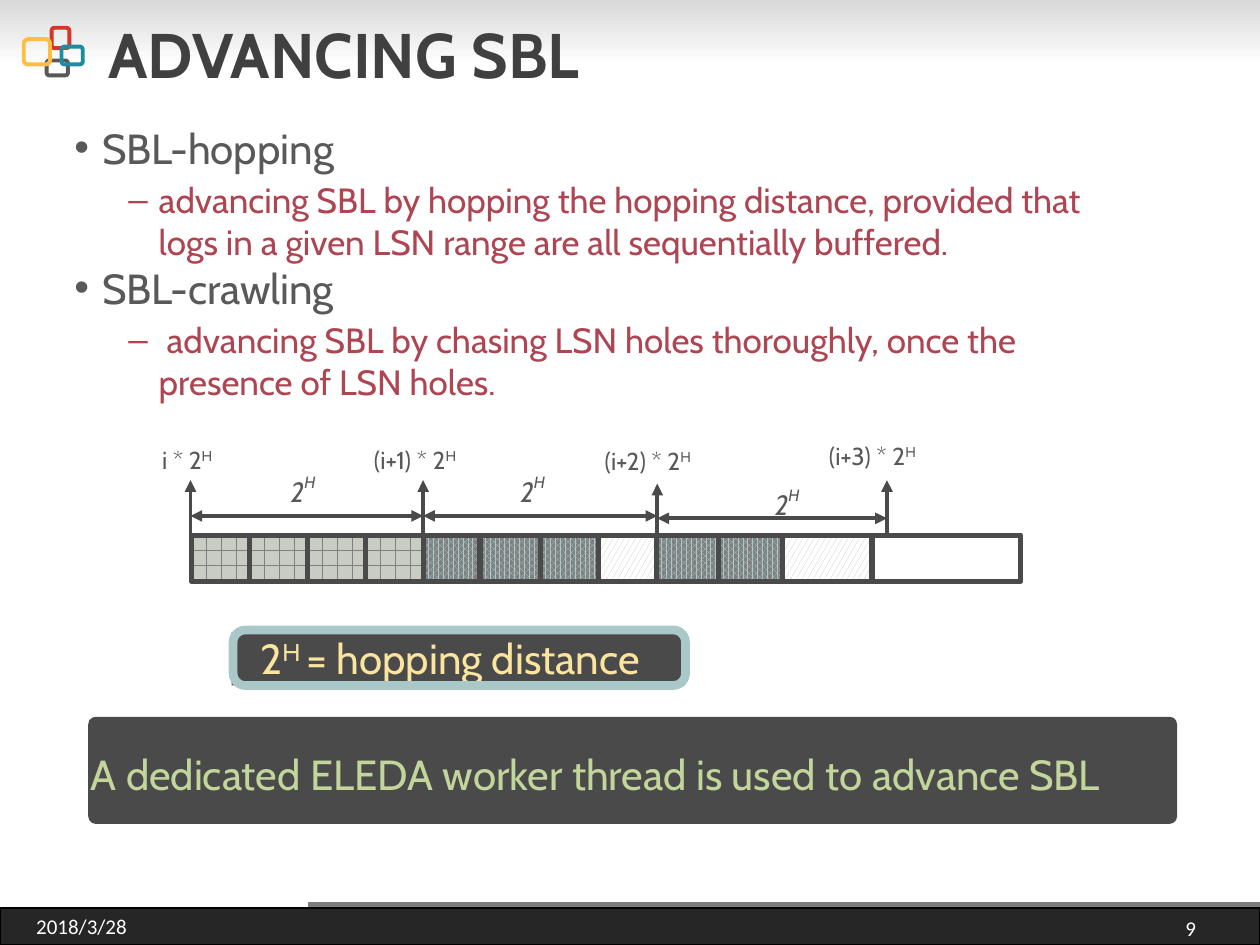
from lxml import etree
from pptx import Presentation
from pptx.dml.color import RGBColor
from pptx.enum.dml import MSO_PATTERN
from pptx.enum.shapes import MSO_CONNECTOR, MSO_SHAPE
from pptx.enum.text import MSO_ANCHOR, MSO_AUTO_SIZE, PP_ALIGN
from pptx.oxml.ns import qn
from pptx.util import Cm, Pt

RECTANGLE, ROUNDED = MSO_SHAPE.RECTANGLE, MSO_SHAPE.ROUNDED_RECTANGLE
STRAIGHT = MSO_CONNECTOR.STRAIGHT
LEFT, RIGHT = PP_ALIGN.LEFT, PP_ALIGN.RIGHT
TOP, MIDDLE = MSO_ANCHOR.TOP, MSO_ANCHOR.MIDDLE
FIXED, GROW = MSO_AUTO_SIZE.NONE, MSO_AUTO_SIZE.SHAPE_TO_FIT_TEXT

THEME = {
    "font": "Cabin", "footer_font": "Calibri",
    "title": "404040", "text": "595959", "detail": "AD4552",
    "ink": "4A4A4A", "frame": "A9C8C7", "formula": "FBE59E", "banner": "C2D69C",
    "footer": "262626", "footer_edge": "000000", "footer_rule": "7C7C7C", "white": "FFFFFF",
    "shade": "D9D9D9",
    "title_size": 36, "body_size": 24, "detail_size": 20,
    "span_size": 16, "label_size": 14, "footer_size": 12,
}

TITLE = "ADVANCING SBL"
BULLETS = [
    (0, "SBL-hopping"),
    (1, "advancing SBL by hopping the hopping distance, provided that "
        "logs in a given LSN range are all sequentially buffered."),
    (0, "SBL-crawling"),
    (1, " advancing SBL by chasing LSN holes thoroughly, once the presence of LSN holes."),
]
LEVELS = [
    ("•", 0.61, -0.56, 0, THEME["body_size"], THEME["text"]),
    ("–", 1.75, -0.61, 3.2, THEME["detail_size"], THEME["detail"]),
]
PATTERNS = {
    "brick": (MSO_PATTERN.HORIZONTAL_BRICK, "808080", "C8CCC3"),
    "dense": (MSO_PATTERN.PERCENT_75, "A9C8C7", "808080"),
    "hole": (MSO_PATTERN.LARGE_CONFETTI, "C6C1B9", "FFFFFF"),
}
CELLS = [("brick", 1.17)] * 4 + [
    ("dense", 1.14), ("dense", 1.22), ("dense", 1.16), ("hole", 1.18),
    ("dense", 1.24), ("dense", 1.29), ("hole", 1.81), ("empty", 3.0),
]
BUFFER_LEFT, BUFFER_TOP, BUFFER_HEIGHT = 3.86, 10.79, 0.93
TICK_HEIGHT = 1.1
TICKS = [
    (3.84, 10.78, "i * 2", (3.02, 8.84, 1.65, 0.86)),
    (8.53, 10.78, "(i+1) * 2", (7.29, 8.84, 2.54, 0.86)),
    (13.25, 10.85, "(i+2) * 2", (11.94, 8.86, 2.54, 0.86)),
    (17.88, 10.78, "(i+3) * 2", (16.46, 8.76, 2.54, 0.86)),
]
SPANS = [(10.4, 5.61, 9.4), (10.4, 10.24, 9.4), (10.45, 15.37, 9.65)]
EMBLEM = [
    ("D4362A", (1.04, 0.56, 0.36, 0.41)),
    ("595959", (0.94, 1.22, 0.43, 0.3)),
    ("FFBE3F", (0.48, 0.79, 0.53, 0.51)),
    ("1C8CA1", (1.24, 0.94, 0.43, 0.36)),
]
FOOTERS = [
    ("2018/3/28", LEFT, (0.48, 18.36, 2.57, 0.61)),
    ("9", RIGHT, (21.69, 18.39, 2.67, 0.64)),
]


def color(name):
    return RGBColor.from_string(name)


def lengths(area):
    return [Cm(value) for value in area]


def style(para, size, ink, font=THEME["font"], bold=None, italic=None):
    para.font.name, para.font.size = font, Pt(size)
    para.font.bold, para.font.italic = bold, italic
    para.font.color.rgb = color(ink)


def add_box(page, area, fill=None, line=None, width=1, kind=RECTANGLE, corner=None):
    box = page.shapes.add_shape(kind, *lengths(area))
    box.shadow.inherit = False
    if corner is not None:
        box.adjustments[0] = corner
    if fill in PATTERNS:
        box.fill.patterned()
        box.fill.pattern, front, back = PATTERNS[fill]
        box.fill.fore_color.rgb, box.fill.back_color.rgb = color(front), color(back)
    elif fill:
        box.fill.solid()
        box.fill.fore_color.rgb = color(fill)
    else:
        box.fill.background()
    if line:
        box.line.color.rgb, box.line.width = color(line), Pt(width)
    else:
        box.line.fill.background()
    return box


def add_line(page, start, end, ink=THEME["ink"], width=2.25, heads=()):
    line = page.shapes.add_connector(STRAIGHT, *lengths(start + end))
    line.line.color.rgb, line.line.width = color(ink), Pt(width)
    properties = line._element.spPr
    for head in heads:
        etree.SubElement(properties.find(qn("a:ln")), qn("a:" + head), type="triangle")
    etree.SubElement(properties, qn("a:effectLst"))


def write(box, spans, size, ink, anchor=TOP, wrap=True, margin=None, align=LEFT, **font):
    frame = box.text_frame
    frame.word_wrap, frame.auto_size, frame.vertical_anchor = wrap, GROW, anchor
    if margin is not None:
        frame.margin_left = frame.margin_right = Cm(margin)
        frame.margin_top = frame.margin_bottom = Cm(margin)
    para = frame.paragraphs[0]
    para.alignment = align
    style(para, size, ink, **font)
    for text, raised in spans:
        span = para.add_run()
        span.text = text
        if raised:
            span._r.get_or_add_rPr().set("baseline", str(raised * 1000))
    return para


def add_text(page, area, spans, size, ink, **options):
    return write(page.shapes.add_textbox(*lengths(area)), spans, size, ink, **options)


def place(shape, area):
    shape.left, shape.top, shape.width, shape.height = lengths(area)
    shape.text_frame.auto_size = FIXED
    return shape.text_frame


def add_template(page):
    fill = page.background.fill
    fill.gradient()
    fill.gradient_angle = 270
    for stop, ink, position in zip(fill.gradient_stops, (THEME["shade"], THEME["white"]), (0, 0.07)):
        stop.color.rgb, stop.position = color(ink), position
    add_box(page, (0, 18.31, 25.4, 0.74), THEME["footer"], THEME["footer_edge"])
    add_line(page, (6.2, 18.24), (25.4, 18.24), THEME["footer_rule"], 3)
    for ink, area in EMBLEM:
        add_box(page, area, line=ink, width=2.25, kind=ROUNDED)
    for text, align, area in FOOTERS:
        add_text(page, area, [(text, 0)], THEME["footer_size"], THEME["white"],
                 anchor=MIDDLE, align=align, font=THEME["footer_font"])


def add_content(page):
    frame = place(page.shapes.title, (1.93, 0.2, 21.62, 1.93))
    frame.text, frame.vertical_anchor = TITLE, MIDDLE
    para = frame.paragraphs[0]
    para.alignment, para.line_spacing = LEFT, 0.9
    style(para, THEME["title_size"], THEME["title"], bold=True)

    frame = place(page.placeholders[1], (1.45, 2.46, 21.59, 5.69))
    frame.margin_left = frame.margin_right = frame.margin_top = frame.margin_bottom = 0
    frame.text = "\n".join(text for _, text in BULLETS)
    for para, (level, _) in zip(frame.paragraphs, BULLETS):
        mark, margin, indent, before, size, ink = LEVELS[level]
        para.level, para.space_before = level, Pt(before)
        style(para, size, ink)
        properties = para._p.get_or_add_pPr()
        properties.set("marL", str(Cm(margin)))
        properties.set("indent", str(Cm(indent)))
        bullet = etree.Element(qn("a:buChar"), char=mark)
        properties.find(qn("a:defRPr")).addprevious(bullet)


def add_diagram(page):
    left = BUFFER_LEFT
    for kind, width in CELLS:
        fill = kind if kind in PATTERNS else None
        add_box(page, (left, BUFFER_TOP, width, BUFFER_HEIGHT), fill, THEME["ink"], 3)
        left += width
    for x, bottom, text, area in TICKS:
        add_line(page, (x, bottom), (x, bottom - TICK_HEIGHT), heads=("tailEnd",))
        add_text(page, area, [(text, 0), ("H", 30)], THEME["label_size"], THEME["text"], wrap=False)
    for (start, *_), (end, *_), (y, x, top) in zip(TICKS, TICKS[1:], SPANS):
        add_line(page, (start, y), (end, y), heads=("headEnd", "tailEnd"))
        add_text(page, (x, top, 1.09, 0.94), [("2", 0), ("H", 50)],
                 THEME["span_size"], THEME["text"], wrap=False, italic=True)


def add_notes_boxes(page):
    box = add_box(page, (4.67, 12.75, 9.14, 1.07), THEME["ink"])
    para = write(box, [("2", 0), ("H ", 30), ("= hopping distance", 0)],
                 THEME["body_size"], THEME["formula"], margin=0)
    para.space_before = Pt(0.9)
    para._p.get_or_add_pPr().set("marL", str(Cm(0.58)))
    add_box(page, (4.7, 12.7, 9.12, 1.12), line=THEME["frame"], width=5, kind=ROUNDED, corner=0.22)
    add_box(page, (1.78, 14.45, 21.95, 2.16), THEME["ink"], kind=ROUNDED, corner=0.07)
    para = add_text(page, (1.83, 14.78, 22.07, 1.35),
                    [("A dedicated ELEDA worker thread is used to advance SBL", 0)],
                    THEME["body_size"], THEME["banner"], margin=0)
    para.line_spacing = Pt(37.6)


def main():
    deck = Presentation()
    deck.slide_width, deck.slide_height = Cm(25.4), Cm(19.05)
    page = deck.slides.add_slide(deck.slide_layouts[1])
    add_template(page)
    add_content(page)
    add_diagram(page)
    add_notes_boxes(page)
    deck.save("out.pptx")


if __name__ == "__main__":
    main()
